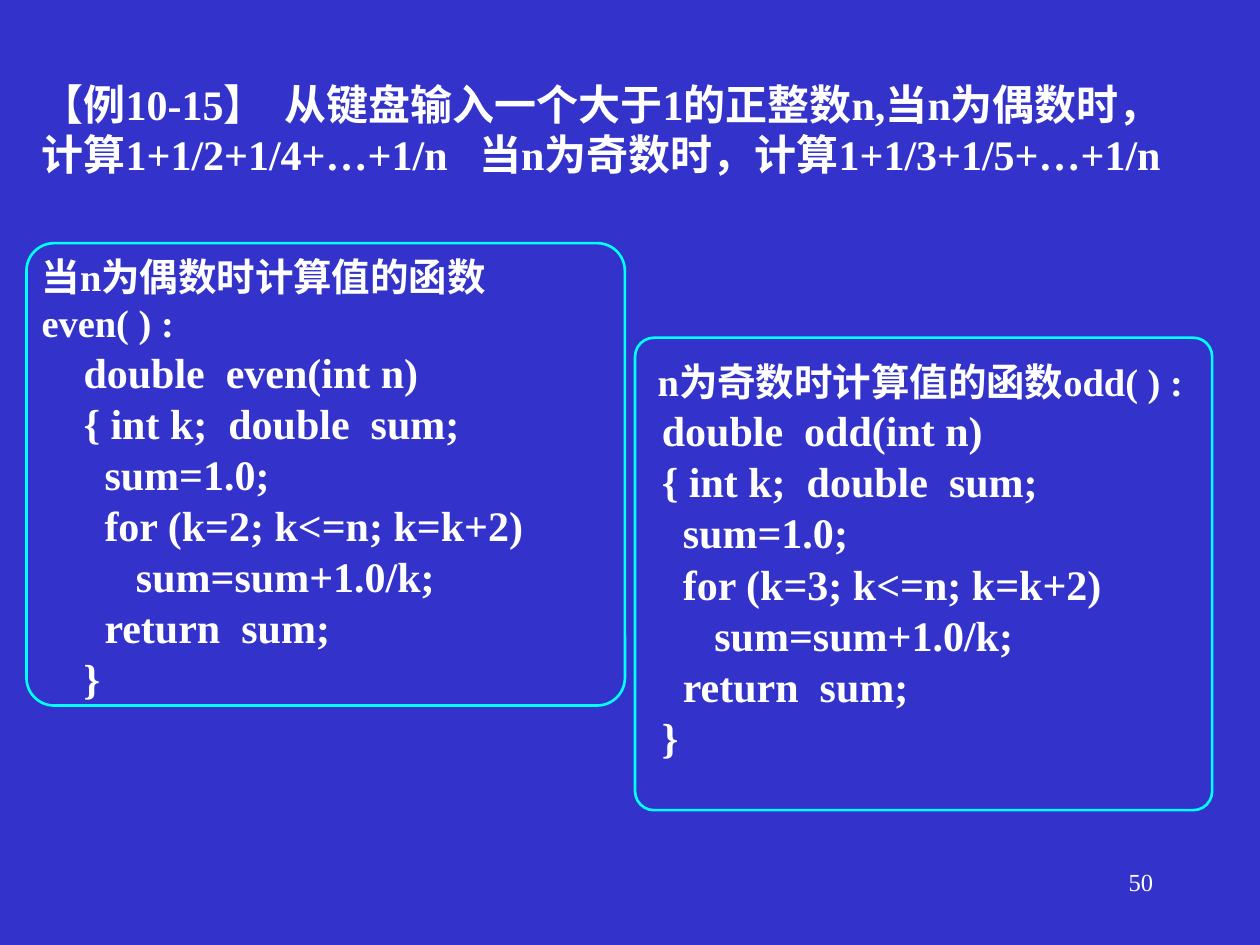
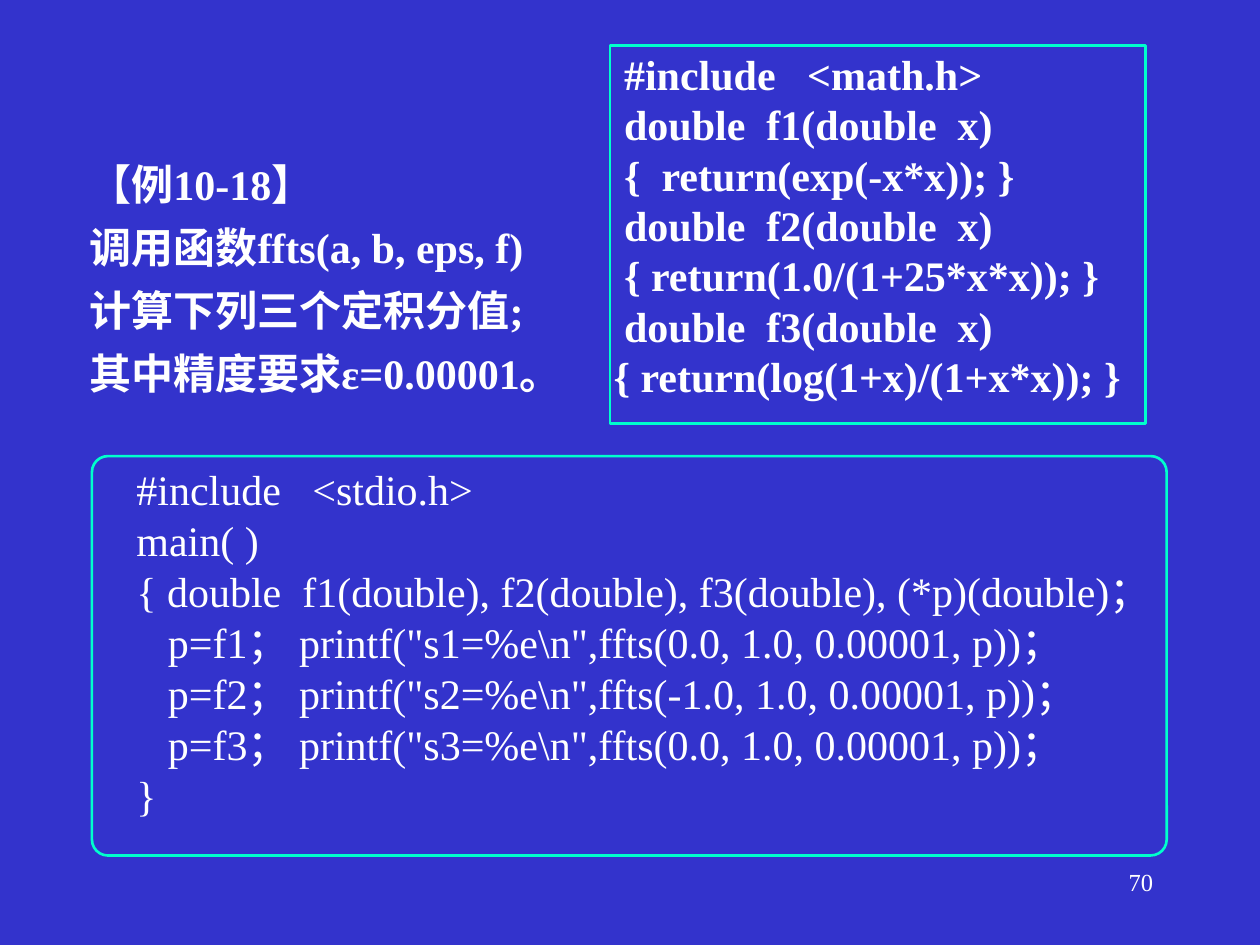
from pptx import Presentation
from pptx.dml.color import RGBColor
from pptx.enum.shapes import MSO_SHAPE as Shape
from pptx.enum.text import MSO_ANCHOR as Anchor, MSO_AUTO_SIZE as AutoSize, PP_ALIGN as Align
from pptx.util import Emu, Pt

PX = 9144  # 100 px to the inch
FONT = "Times New Roman"
BLUE, WHITE, CYAN, AQUA = "3333CC", "FFFFFF", "00FFFF", "00FFCC"
CODE_SIZE, HEADING_SIZE, PAGE_SIZE = 24, 22, 14

EVEN_HEADING = "当n为偶数时计算值的函数even( ) :"
ODD_HEADING = "n为奇数时计算值的函数odd( ) :"
SUM_CODE = """\
    double  {name}(int n)
    {{ int k;  double  sum;
      sum=1.0;
      for (k={start}; k<=n; k=k+2)
         sum=sum+1.0/k;
      return  sum;
    }}"""
INTEGRANDS = """\
    #include   <math.h>
    double  f1(double  x)
    {  return(exp(-x*x)); }
    double  f2(double  x)
    { return(1.0/(1+25*x*x)); }
    double  f3(double  x)
   { return(log(1+x)/(1+x*x)); }"""
MAIN_CODE = r"""    #include   <stdio.h>
    main( )
    { double  f1(double), f2(double), f3(double), (*p)(double)；
       p=f1； printf("s1=%e\n",ffts(0.0, 1.0, 0.00001, p))；
       p=f2； printf("s2=%e\n",ffts(-1.0, 1.0, 0.00001, p))；
       p=f3； printf("s3=%e\n",ffts(0.0, 1.0, 0.00001, p))；
    }"""


def color(hex_code):
    return RGBColor.from_string(hex_code)


def px(*lengths):
    return [Emu(length * PX) for length in lengths]


def prepare(frame):
    """Wrapped text from the top, with narrow side margins only."""
    frame.word_wrap = True
    frame.auto_size = AutoSize.NONE
    frame.vertical_anchor = Anchor.TOP
    frame.margin_left = frame.margin_right = Emu(4 * PX)
    frame.margin_top = frame.margin_bottom = 0


def write(frame, lines, size=CODE_SIZE, bold=True, gap=0.3, pitch=None, align=Align.LEFT):
    """Add lines to the frame; gap is a share of the text size."""
    for line in lines:
        first = not frame.text
        paragraph = frame.paragraphs[0] if first else frame.add_paragraph()
        paragraph.text = line
        paragraph.alignment = align
        paragraph.space_before = Pt(0 if first else size * gap)
        if pitch:
            paragraph.line_spacing = Pt(pitch)
        font = paragraph.font
        font.name, font.size, font.bold = FONT, Pt(size), bold
        font.color.rgb = color(WHITE)


def add_problem(slide, box, lines):
    title = slide.shapes.title
    title.left, title.top, title.width, title.height = px(*box)
    prepare(title.text_frame)
    write(title.text_frame, lines)


def add_panel(slide, box, text_box, code, line_color=CYAN, corner=0, heading=None,
              heading_indent=0, bold=True, gap=0.3, pitch=22):
    """Outlined code; text_box is dx, dy, width, height relative to the outline."""
    left, top, _, _ = box
    dx, dy, width, height = text_box
    panel = slide.shapes.add_group_shape().shapes

    # Outline
    outline = panel.add_shape(Shape.ROUNDED_RECTANGLE if corner else Shape.RECTANGLE, *px(*box))
    if corner:
        outline.adjustments[0] = corner
    outline.shadow.inherit = False
    outline.fill.background()
    outline.line.color.rgb = color(line_color)
    outline.line.width = Pt(1.5)

    # Heading and code
    listing = panel.add_textbox(*px(left + dx, top + dy, width, height)).text_frame
    prepare(listing)
    if heading:
        write(listing, [heading], size=HEADING_SIZE)
        if heading_indent:
            properties = listing.paragraphs[0]._p.get_or_add_pPr()
            properties.set("marL", str(heading_indent * PX))
    write(listing, code.splitlines(), bold=bold, gap=gap, pitch=pitch)


def add_page_number(slide, number):
    page = slide.shapes.add_textbox(*px(717, 683, 208, 50)).text_frame
    page.word_wrap = True
    write(page, [str(number)], size=PAGE_SIZE, bold=False, align=Align.RIGHT)


def build_sums(slide):
    add_problem(slide, (29, 62, 922, 121), [
        "【例10-15】  从键盘输入一个大于1的正整数n,当n为偶数时，计算1+1/2+1/4+…+1/n"
        "   当n为奇数时，计算1+1/3+1/5+…+1/n"])
    add_panel(slide, (21, 193, 475, 367), (8, 8, 464, 338),
              SUM_CODE.format(name="even", start=2), corner=0.06, heading=EVEN_HEADING)
    add_panel(slide, (504, 268, 458, 375), (-16, 16, 475, 338),
              SUM_CODE.format(name="odd", start=3), corner=0.04,
              heading=ODD_HEADING, heading_indent=30)
    add_page_number(slide, 50)


def build_integrals(slide):
    add_problem(slide, (67, 126, 417, 198), [
        "【例10-18】", "调用函数ffts(a, b, eps, f)",
        "计算下列三个定积分值;", "其中精度要求ε=0.00001。"])
    add_panel(slide, (73, 362, 853, 317), (-2, 15, 892, 289), MAIN_CODE,
              line_color=AQUA, corner=0.04, bold=False)
    add_panel(slide, (484, 36, 425, 300), (-26, 9, 451, 237), INTEGRANDS,
              line_color=AQUA, gap=0.2, pitch=24)
    add_page_number(slide, 70)


def main():
    prs = Presentation()
    prs.slide_width, prs.slide_height = px(1000, 750)
    background = prs.slide_master.background.fill
    background.solid()
    background.fore_color.rgb = color(BLUE)
    title_only = prs.slide_layouts[5]
    for build in (build_sums, build_integrals):
        build(prs.slides.add_slide(title_only))
    prs.save("out.pptx")


if __name__ == "__main__":
    main()
